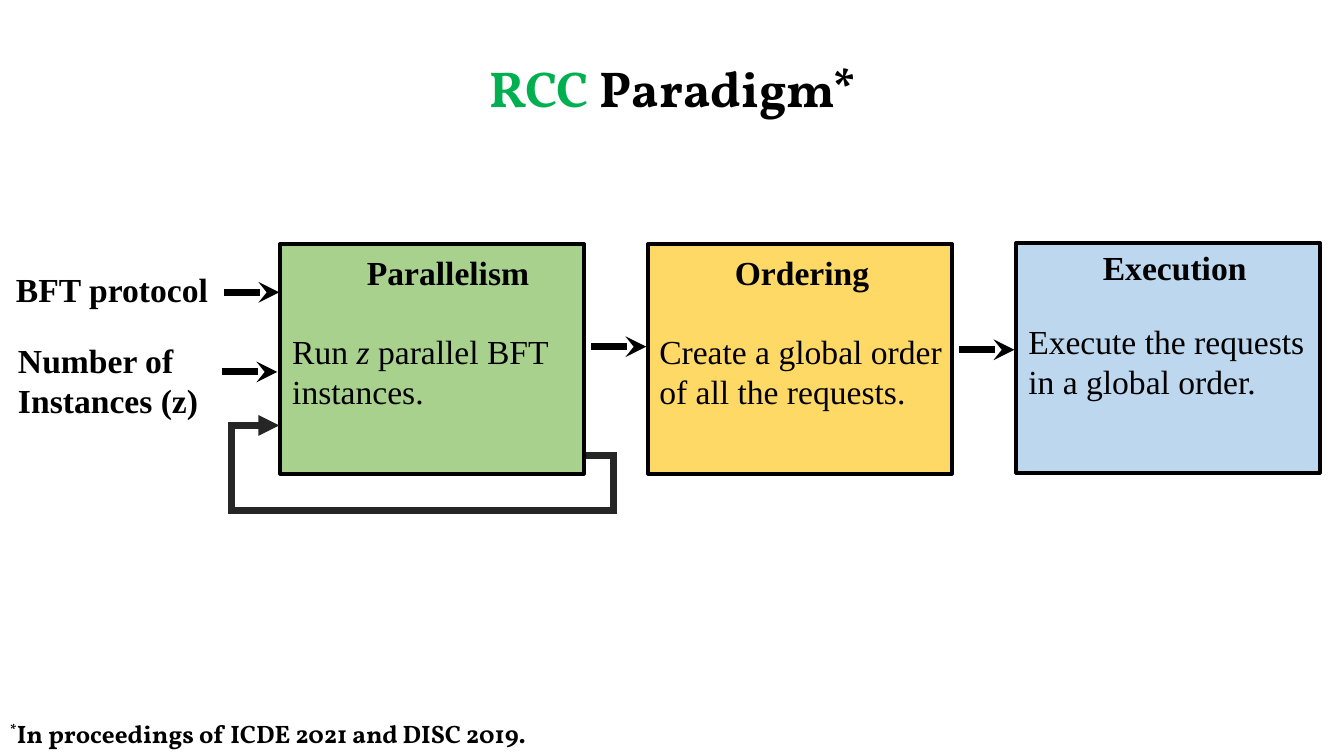
import pptx
import pptx.util
import pptx.dml.color
import pptx.enum.shapes
import pptx.enum.text
import pptx.oxml.ns
import lxml.etree

Inches = pptx.util.Inches
Pt = pptx.util.Pt
RGBColor = pptx.dml.color.RGBColor
ANCHOR = pptx.enum.text.MSO_ANCHOR
ALIGN = pptx.enum.text.PP_ALIGN
CONNECTOR = pptx.enum.shapes.MSO_CONNECTOR
qn = pptx.oxml.ns.qn

BLACK = RGBColor(0x00, 0x00, 0x00)
CHARCOAL = RGBColor(0x26, 0x26, 0x26)
RCC_GREEN = RGBColor(0x00, 0xB0, 0x50)
GREEN = RGBColor(0xA9, 0xD1, 0x8E)
YELLOW = RGBColor(0xFF, 0xD9, 0x66)
BLUE = RGBColor(0xBD, 0xD7, 0xEE)
SERIF = "Times New Roman"
DISPLAY = "Vollkorn"

TITLE = [[("RCC", {"color": RCC_GREEN}), (" Paradigm*", {})]]
FOOTNOTE = [[("*", {"raised": True}),
             ("In proceedings of ICDE 2021 and DISC 2019.", {})]]
INPUTS = [
    ((0.06, 2.62, 2.12, 0.5), [[("BFT protocol", {})]]),
    ((0.08, 3.32, 2.01, 0.91), [[("Number of", {})], [("Instances (z)", {})]]),
]
STAGES = [
    ("Parallelism", GREEN, 2.42, 2.45, (2.8, 3.23, 2.93),
     [[("Run ", {}), ("z", {"italic": True}), (" parallel BFT", {})],
      [("instances.", {})]]),
    ("Ordering", YELLOW, 2.42, 2.45, (6.44, 3.23, 3.11),
     [[("Create a global order", {})], [("of all the requests.", {})]]),
    ("Execution", BLUE, 2.41, 2.4, (10.1, 3.13, 3.05),
     [[("Execute the requests", {})], [("in a global order.", {})]]),
]
ARROWS = [(2.22, 2.9), (2.2, 3.69), (5.86, 3.44), (9.51, 3.47)]
ARROW_LENGTH = 0.55
STAGE_LEFT, STAGE_STEP, STAGE_WIDTH, STAGE_HEIGHT = 2.78, 3.65, 3.01, 2.28
HEADING_INSET = 0.76
FEEDBACK = (2.77, 4.22, 5.81, 4.52)
FEEDBACK_BENDS = {"adj1": -9000, "adj2": -181500, "adj3": 115500}


def add_text(slide, box, lines, font=SERIF, size=24, bold=True, wrap=False,
             anchor=ANCHOR.TOP, align=ALIGN.LEFT, spacing=1.0):
    tf = slide.shapes.add_textbox(*map(Inches, box)).text_frame
    tf.word_wrap = wrap
    tf.vertical_anchor = anchor
    for i, line in enumerate(lines):
        p = tf.paragraphs[0] if i == 0 else tf.add_paragraph()
        p.alignment = align
        p.line_spacing = spacing
        p.font.name, p.font.size, p.font.bold = font, Pt(size), bold
        p.font.color.rgb = BLACK
        for text, style in line:
            r = p.add_run()
            r.text = text
            if "color" in style:
                r.font.color.rgb = style["color"]
            if "italic" in style:
                r.font.italic = True
            if "raised" in style:
                r.font._element.set("baseline", "30000")


def add_arrow(slide, kind, ends, color, head):
    sp = slide.shapes.add_connector(kind, *map(Inches, ends))
    sp.line.color.rgb = color
    sp.line.width = Pt(5)
    ln = sp.line._get_or_add_ln()
    lxml.etree.SubElement(ln, qn("a:miter"), lim="800000")
    lxml.etree.SubElement(ln, qn("a:tailEnd"), type=head)
    lxml.etree.SubElement(sp._element.spPr, qn("a:effectLst"))
    return sp


def add_feedback(slide):
    sp = add_arrow(slide, CONNECTOR.ELBOW, FEEDBACK, CHARCOAL, "triangle")
    spPr = sp._element.spPr
    spPr.find(qn("a:xfrm")).set("rot", "10800000")
    geom = spPr.find(qn("a:prstGeom"))
    geom.set("prst", "bentConnector5")
    guides = geom.find(qn("a:avLst"))
    for name, value in FEEDBACK_BENDS.items():
        lxml.etree.SubElement(guides, qn("a:gd"), name=name, fmla=f"val {value}")


def add_stage(slide, index, stage):
    heading, fill, top, heading_top, (x, y, width), lines = stage
    left = STAGE_LEFT + index * STAGE_STEP
    sp = slide.shapes.add_shape(
        pptx.enum.shapes.MSO_SHAPE.RECTANGLE,
        *map(Inches, (left, top, STAGE_WIDTH, STAGE_HEIGHT)))
    sp.shadow.inherit = False
    sp.fill.solid()
    sp.fill.fore_color.rgb = fill
    sp.line.color.rgb = BLACK
    sp.line.width = Pt(3)
    add_text(slide, (left + HEADING_INSET, heading_top, 1.83, 0.5),
             [[(heading, {})]])
    add_text(slide, (x, y, width, 0.91), lines, bold=False)


def main():
    prs = pptx.Presentation()
    prs.slide_width, prs.slide_height = Inches(13.33), Inches(7.5)
    slide = prs.slides.add_slide(prs.slide_layouts[6])
    add_text(slide, (0.01, 0.58, 13.33, 0.65), TITLE, DISPLAY, 36, wrap=True,
             anchor=ANCHOR.MIDDLE, align=ALIGN.CENTER, spacing=0.9)
    for box, lines in INPUTS:
        add_text(slide, box, lines)
    for index, stage in enumerate(STAGES):
        add_stage(slide, index, stage)
    add_feedback(slide)
    for x, y in ARROWS:
        add_arrow(slide, CONNECTOR.STRAIGHT, (x, y, x + ARROW_LENGTH, y),
                  BLACK, "stealth")
    add_text(slide, (0, 7.11, 5.36, 0.37), FOOTNOTE, DISPLAY, 18, wrap=True,
             anchor=ANCHOR.BOTTOM, spacing=0.9)
    prs.save("out.pptx")


if __name__ == "__main__":
    main()
